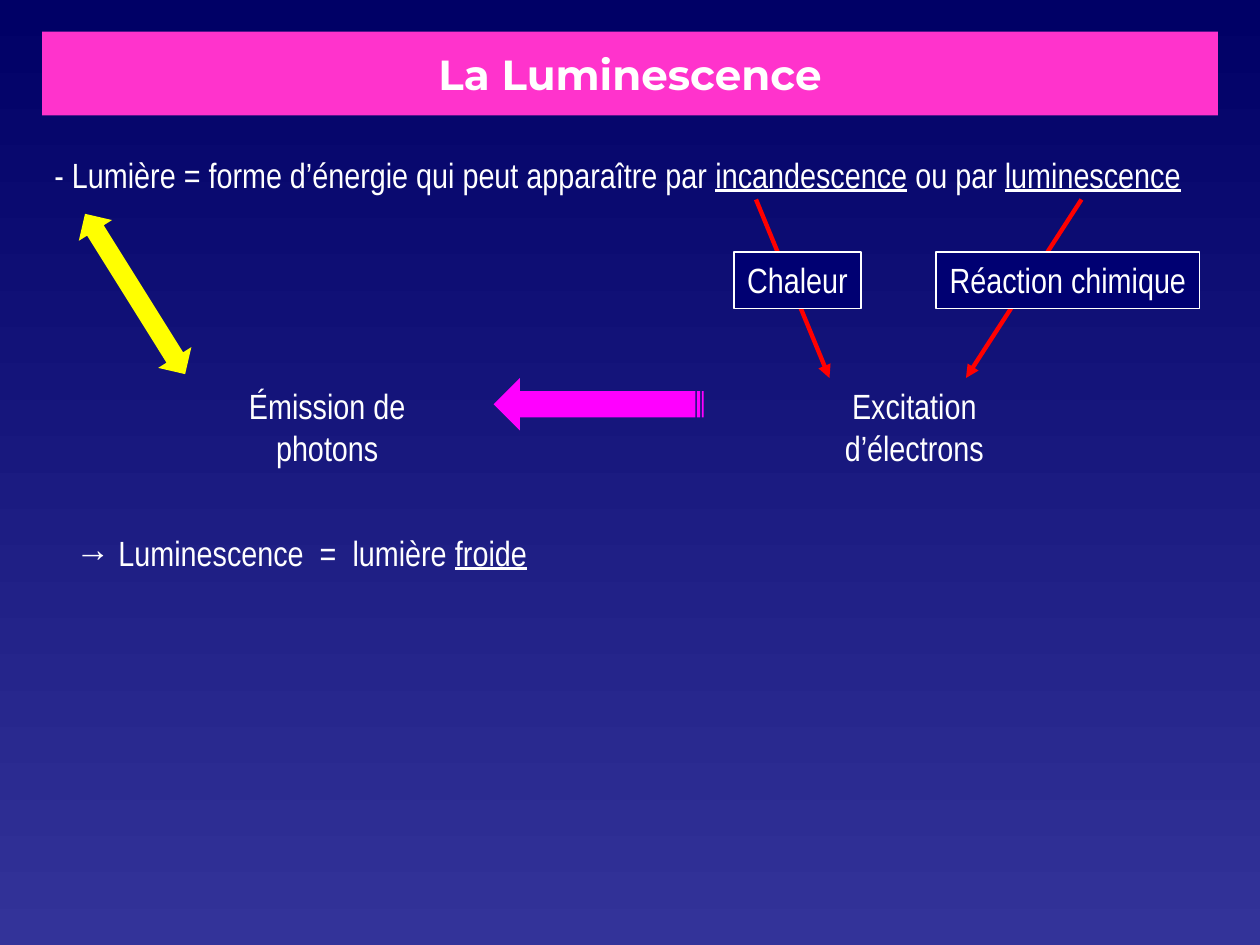
from lxml import etree
from pptx import Presentation
from pptx.dml.color import RGBColor
from pptx.enum import shapes, text
from pptx.oxml.ns import qn
from pptx.util import Pt

COLORS = {"top": "000066", "bottom": "333399", "title": "FF33CC", "text": "FFFFFF",
          "box": "000072", "cause": "FF0000", "emit": "FF00FF", "light": "FFFF00"}
MID, LEFT = text.PP_ALIGN.CENTER, text.PP_ALIGN.LEFT

# Content: boxes are left, top, width, height; runs are (text, underlined)
TITLE = "La Luminescence"
TITLE_BOX = (24, 18, 672, 48)
TEXTS = [
    ((24, 84, 672, 31), LEFT, [("- Lumière = forme d’énergie qui peut apparaître par ", False),
                               ("incandescence", True), (" ou par ", False),
                               ("luminescence", True)]),
    ((438, 216, 169, 31), MID, [("Excitation d’électrons", False)]),
    ((104, 216, 166, 31), MID, [("Émission de photons", False)]),
    ((36, 300, 558, 31), LEFT, [("→ Luminescence  =  lumière ", False), ("froide", True)]),
]
CAUSES = [  # label, label box, arrow start, arrow end
    ("Chaleur", (419.5, 144, 72.5, 32.3), (432, 114), (474, 216)),
    ("Réaction chimique", (535, 144, 150.5, 32.3), (618, 114), (552, 216)),
]
BLOCK_ARROWS = [  # preset, box, rotation, colour
    (shapes.MSO_SHAPE.STRIPED_RIGHT_ARROW, (282, 216, 120, 30), 180, "emit"),
    (shapes.MSO_SHAPE.LEFT_RIGHT_ARROW, (23.2, 156.8, 108, 22.4), 58, "light"),
]


def rgb(name):
    return RGBColor.from_string(COLORS[name])


def pts(values):
    return [Pt(v) for v in values]


def write(sp, runs, align=MID, size=20, font="Arial Narrow", bold=False,
          anchor=text.MSO_ANCHOR.TOP, auto=text.MSO_AUTO_SIZE.SHAPE_TO_FIT_TEXT):
    tf = sp.text_frame
    tf.word_wrap, tf.auto_size, tf.vertical_anchor = True, auto, anchor
    tf.margin_left = tf.margin_right = Pt(7.2)
    tf.margin_top = tf.margin_bottom = Pt(3.6)
    p = tf.paragraphs[0]
    p.alignment = align
    for words, underlined in runs:
        r = p.add_run()
        r.text = words
        r.font.size, r.font.name, r.font.bold = Pt(size), font, bold
        r.font.underline = underlined
        r.font.color.rgb = rgb("text")


def add_block(s, preset, box, fill, line=None):
    sp = s.shapes.add_shape(preset, *pts(box))
    sp.shadow.inherit = False
    sp.fill.solid()
    sp.fill.fore_color.rgb = rgb(fill)
    if line:
        sp.line.color.rgb = rgb(line)
        sp.line.width = Pt(1)
    else:
        sp.line.fill.background()
    return sp


def add_arrow(s, start, end):
    c = s.shapes.add_connector(shapes.MSO_CONNECTOR.STRAIGHT, *pts(start + end))
    c.line.color.rgb = rgb("cause")
    c.line.width = Pt(2.5)
    etree.SubElement(c.line._get_or_add_ln(), qn("a:tailEnd"), type="triangle")
    etree.SubElement(c._element.spPr, qn("a:effectLst"))


def main():
    prs = Presentation()
    prs.slide_width, prs.slide_height = Pt(720), Pt(540)
    s = prs.slides.add_slide(prs.slide_layouts[5])

    # Background, darkest at the top
    bg = s.background.fill
    bg.gradient()
    bg.gradient_angle = 270
    for stop, name, position in zip(bg.gradient_stops, ("top", "bottom"), (0, 1)):
        stop.color.rgb = rgb(name)
        stop.position = position

    # Title band
    title = s.shapes.title
    title.left, title.top, title.width, title.height = pts(TITLE_BOX)
    title.fill.solid()
    title.fill.fore_color.rgb = rgb("title")
    write(title, [(TITLE, False)], size=24, font="Montserrat", bold=True,
          anchor=text.MSO_ANCHOR.MIDDLE, auto=text.MSO_AUTO_SIZE.NONE)

    # Statements
    for box, align, runs in TEXTS:
        write(s.shapes.add_textbox(*pts(box)), runs, align=align)

    # Block arrows
    for preset, box, rotation, fill in BLOCK_ARROWS:
        add_block(s, preset, box, fill).rotation = rotation

    # Causes: each label sits over its arrow
    for label, box, start, end in CAUSES:
        add_arrow(s, start, end)
        write(add_block(s, shapes.MSO_SHAPE.RECTANGLE, box, "box", "text"), [(label, False)])

    prs.save("out.pptx")


if __name__ == "__main__":
    main()
